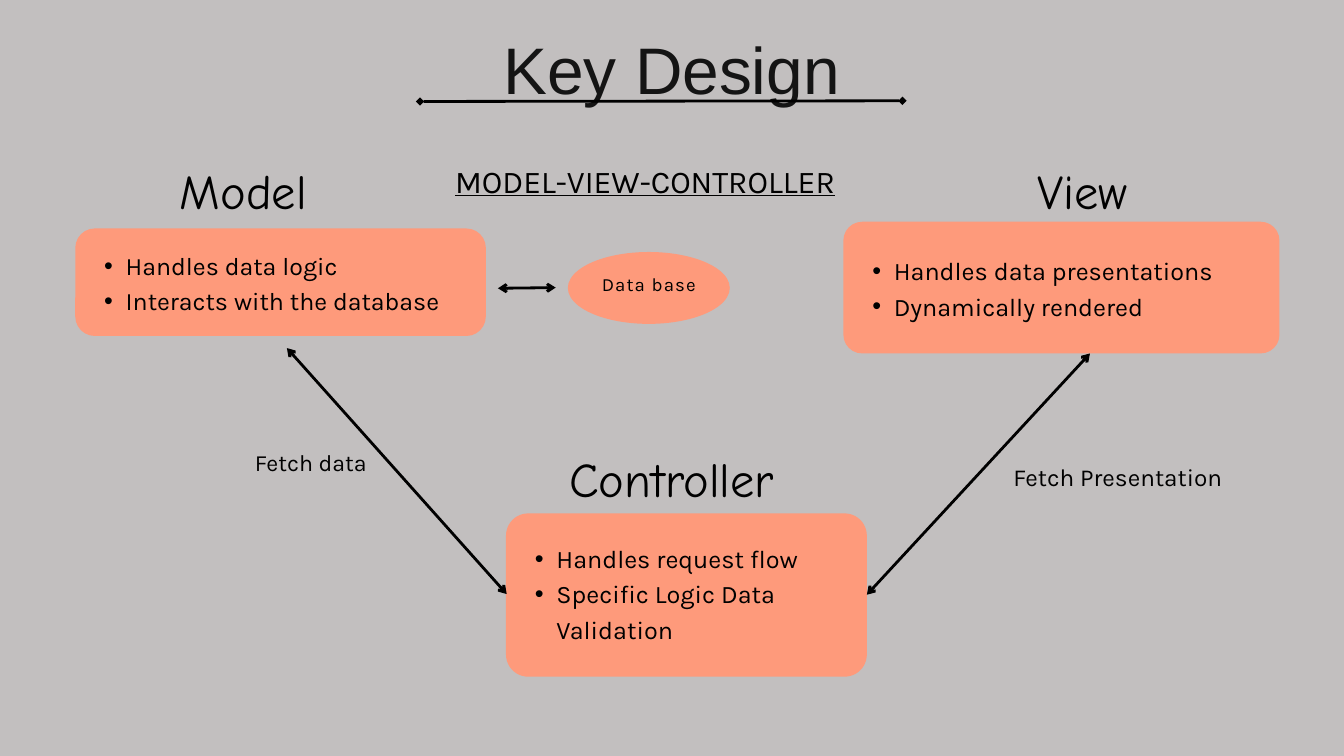
from lxml import etree
from pptx import Presentation
from pptx import util as u
from pptx.dml import color
from pptx.enum import shapes, text
from pptx.oxml import ns

BLACK, CORAL, GREY, INK = "000000", "FE9A7B", "C2BFBF", "141414"


def paint(fill, value):
    """Give a fill one solid colour."""
    fill.solid()
    fill.fore_color.rgb = color.RGBColor.from_string(value)


def add_child(parent, tag, **attributes):
    """Append a drawing element to an XML parent."""
    return etree.SubElement(parent, ns.qn(tag), attributes)


def write(shape, lines, size, leading, font="Karla", ink=BLACK, insets=(0, 0, 0, 0),
          align=text.PP_ALIGN.CENTER, anchor=text.MSO_ANCHOR.TOP,
          bullet=False, underline=False, tracking=0):
    """Write formatted lines into a shape."""
    frame = shape.text_frame
    frame.word_wrap = True
    frame.auto_size = text.MSO_AUTO_SIZE.NONE
    frame.vertical_anchor = anchor
    frame.margin_left, frame.margin_top, frame.margin_right, frame.margin_bottom = map(u.Inches, insets)
    for index, line in enumerate(lines):
        para = frame.add_paragraph() if index else frame.paragraphs[0]
        para.alignment = align
        para.line_spacing = u.Pt(leading)
        para.space_before = u.Pt(0)
        if bullet:
            properties = para._p.get_or_add_pPr()
            properties.set("marL", str(u.Inches(0.64)))
            properties.set("indent", str(u.Inches(-0.32)))
            add_child(properties, "a:buFont", typeface="Arial")
            add_child(properties, "a:buChar", char="•")
        span = para.add_run()
        span.text = line
        span.font.name = font
        span.font.size = u.Pt(size)
        span.font.underline = underline
        paint(span.font.fill, ink)
        if tracking:
            span.font._element.set("spc", str(round(tracking * 100)))


def add_label(page, box, label, size, leading, **style):
    """Place a text box holding one centred line."""
    write(page.shapes.add_textbox(*map(u.Inches, box)), [label], size, leading, **style)


def add_panel(page, kind, box):
    """Place a plain coral shape."""
    panel = page.shapes.add_shape(kind, *map(u.Inches, box))
    panel.shadow.inherit = False
    paint(panel.fill, CORAL)
    panel.line.fill.background()
    return panel


def add_component(page, box, heading, heading_box, points, radius, text_top, size=27):
    """Place a rounded card of bullet points with its heading."""
    card = add_panel(page, shapes.MSO_SHAPE.ROUNDED_RECTANGLE, box)
    card.adjustments[0] = radius / min(box[2:])
    corner = radius * 0.29
    write(card, points, size, size * 1.4, bullet=True, align=text.PP_ALIGN.LEFT,
          insets=(0.11 - corner, text_top - corner, 0, 0))
    add_label(page, heading_box, heading, 52, 72.8, font="Comic Neue")


def add_link(page, start, end, tip="arrow"):
    """Draw a line with the same tip at both ends."""
    link = page.shapes.add_connector(shapes.MSO_CONNECTOR.STRAIGHT, *map(u.Inches, start + end))
    link.line.width = u.Pt(3)
    paint(link.line.fill, BLACK)
    outline = link.line._get_or_add_ln()
    for tag in ("a:headEnd", "a:tailEnd"):
        add_child(outline, tag, type=tip)
    add_child(link._element.spPr, "a:effectLst")


def add_database(page, box):
    """Place the database ellipse."""
    database = add_panel(page, shapes.MSO_SHAPE.OVAL, box)
    write(database, ["Data base"], 20, 28, tracking=1.2,
          anchor=text.MSO_ANCHOR.MIDDLE, insets=(0, 0, 0, 0.16))


def add_heading(page, box):
    """Place the slide title and the rule under it."""
    title = page.shapes.title
    title.left, title.top, title.width, title.height = map(u.Inches, box)
    write(title, ["Key Design"], 70.5, 98.7, font="Arial", ink=INK)
    add_link(page, (6.25, 1.51), (13.43, 1.5), tip="diamond")


def main():
    """Build the slide and save it."""
    deck = Presentation()
    deck.slide_width, deck.slide_height = u.Inches(20), u.Inches(11.25)
    page = deck.slides.add_slide(deck.slide_layouts[5])
    paint(page.background.fill, GREY)
    add_heading(page, (7.17, 0.23, 5.65, 1.31))
    add_label(page, (6.25, 2.32, 6.7, 0.63), "MODEL-VIEW-CONTROLLER", 34, 47.6, underline=True)
    add_component(page, (1.12, 3.4, 6.11, 1.6), "Model", (0.65, 2.25, 5.94, 0.97),
                  ["Handles data logic", "Interacts with the database"], 0.29, 0.26, size=26.8)
    add_component(page, (12.55, 3.3, 6.49, 1.96), "View", (15.18, 2.25, 1.86, 0.97),
                  ["Handles data presentations", "Dynamically rendered"], 0.28, 0.43)
    add_component(page, (7.53, 7.64, 5.37, 2.43), "Controller", (6.88, 6.54, 6.23, 0.97),
                  ["Handles request flow", "Specific Logic Data Validation"], 0.33, 0.37)
    add_database(page, (8.45, 3.75, 2.41, 1.07))
    add_label(page, (3.26, 6.61, 2.73, 0.46), "Fetch data", 24.9, 34.8)
    add_label(page, (14.97, 6.81, 3.33, 0.49), "Fetch Presentation", 26.1, 36.5)
    add_link(page, (7.41, 4.29), (8.27, 4.28))
    add_link(page, (4.27, 5.18), (7.54, 8.84))
    add_link(page, (12.9, 8.85), (16.22, 5.26))
    deck.save("out.pptx")


if __name__ == "__main__":
    main()
